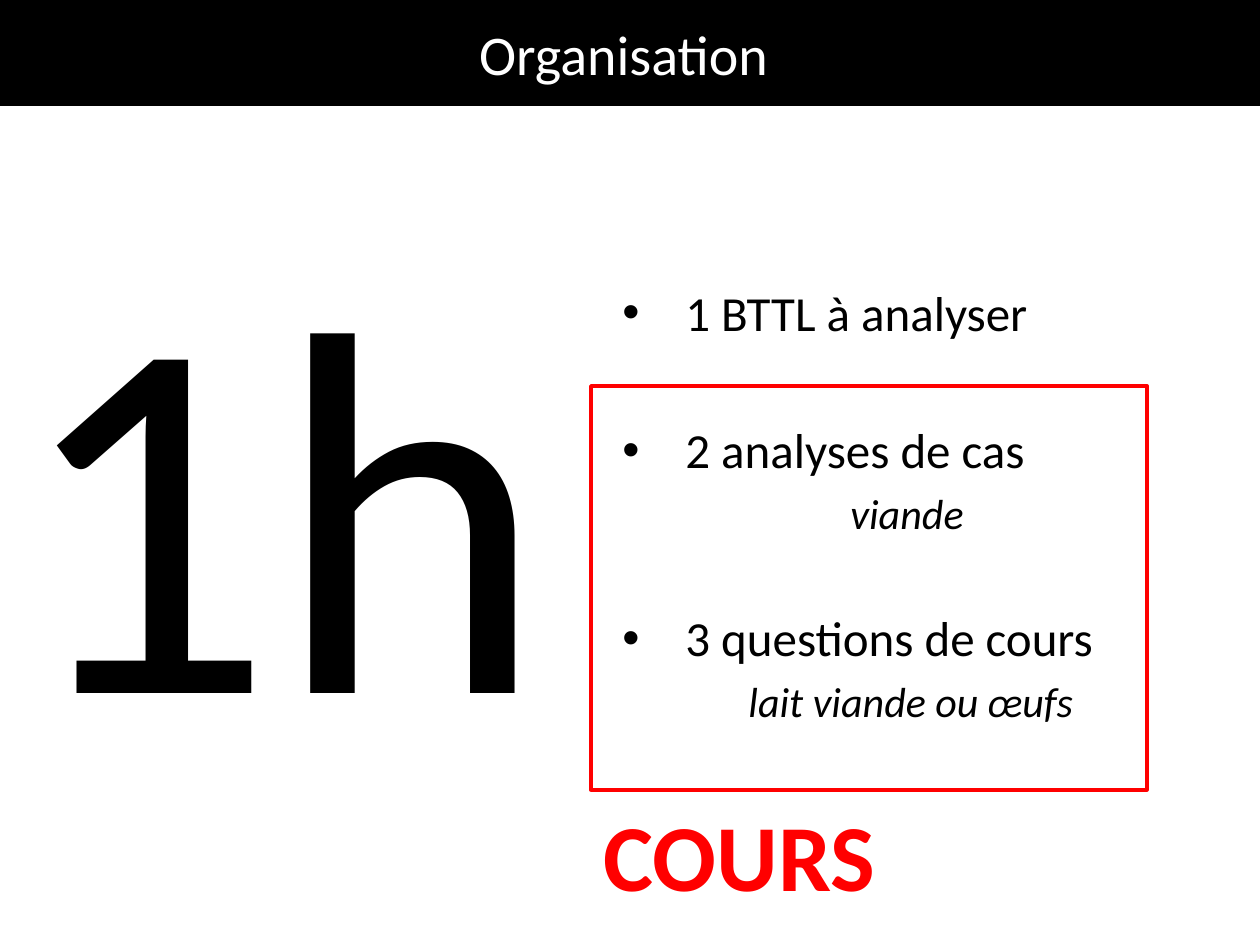
from lxml.etree import SubElement
from pptx import Presentation
from pptx.dml.color import RGBColor
from pptx.enum.shapes import MSO_SHAPE
from pptx.enum.text import MSO_ANCHOR, PP_ALIGN
from pptx.oxml.ns import qn
from pptx.util import Emu, Pt

SCALE = 914400 / 126
FONT = "Calibri"
BLACK, WHITE, RED = "000000", "FFFFFF", "FF0000"


def px(length):
    """Turn pixels into EMU."""
    return Emu(round(length * SCALE))


def color(value):
    """Turn a hex string into a colour."""
    return RGBColor.from_string(value)


def add_span(para, text, size, hue=BLACK, bold=False, italic=False):
    """Add one run of text to a paragraph."""
    span = para.add_run()
    span.text = text
    span.font.name = FONT
    span.font.size = Pt(size)
    span.font.color.rgb = color(hue)
    span.font.bold = bold
    span.font.italic = italic


def add_text_box(page, area):
    """Add a wrapping text box and return its text frame."""
    frame = page.shapes.add_textbox(*map(px, area)).text_frame
    frame.word_wrap = True
    return frame


def add_rectangle(page, area):
    """Add a rectangle without shadow."""
    box = page.shapes.add_shape(MSO_SHAPE.RECTANGLE, *map(px, area))
    box.shadow.inherit = False
    return box


def add_title(page, area, text):
    """Draw the black title band."""
    band = add_rectangle(page, area)
    band.fill.solid()
    band.fill.fore_color.rgb = color(BLACK)
    band.line.fill.background()
    band.text_frame.vertical_anchor = MSO_ANCHOR.MIDDLE
    para = band.text_frame.paragraphs[0]
    para.alignment = PP_ALIGN.CENTER
    add_span(para, text, 32, WHITE)


def add_label(page, area, text, size, hue=BLACK, bold=False):
    """Draw a single large label."""
    frame = add_text_box(page, area)
    add_span(frame.paragraphs[0], text, size, hue, bold)


def indent(para, margin, hanging=0, bullet=None):
    """Set the left margin, hanging indent and bullet of a paragraph."""
    properties = para._p.get_or_add_pPr()
    properties.set("marL", str(px(margin)))
    properties.set("indent", str(px(-hanging)))
    if bullet:
        SubElement(properties, qn("a:buFont"), typeface="Arial")
        SubElement(properties, qn("a:buChar"), char=bullet)
    else:
        SubElement(properties, qn("a:buNone"))


def add_program(page, area, items):
    """Draw the bulleted tasks, each with an optional detail line."""
    frame = add_text_box(page, area)
    para = frame.paragraphs[0]
    for index, (gap, task, detail, margin) in enumerate(items):
        if index:
            para = frame.add_paragraph()
            para.space_before = Pt(gap)
        para.alignment = PP_ALIGN.JUSTIFY
        indent(para, 63, 63, "•")
        add_span(para, task, 28)
        if detail:
            para = frame.add_paragraph()
            para.alignment = PP_ALIGN.JUSTIFY
            para.space_before = Pt(5)
            indent(para, margin)
            add_span(para, detail, 24, italic=True)


def add_course_frame(page, area):
    """Draw the red frame with its caption underneath."""
    left, top, width, height = area
    outline = add_rectangle(page, area)
    outline.fill.background()
    outline.line.color.rgb = color(RED)
    outline.line.width = Pt(2)
    add_label(page, (left, top + height + 1, 318, 127), "COURS", 54, RED, True)


def main():
    """Build and save the slide."""
    deck = Presentation()
    deck.slide_width, deck.slide_height = px(1260), px(945)
    page = deck.slides.add_slide(deck.slide_layouts[6])
    add_label(page, (0, 169, 1260, 640), "1h", 296)
    add_title(page, (0, 0, 1260, 106), "Organisation ")
    add_program(page, (610, 276, 587, 624), [
        (0, "1 BTTL à analyser", None, 0),
        (45, "2 analyses de cas", "viande", 228),
        (40, "3 questions de cours", "lait viande ou œufs", 126),
    ])
    add_course_frame(page, (591, 386, 556, 404))
    deck.save("out.pptx")


if __name__ == "__main__":
    main()
